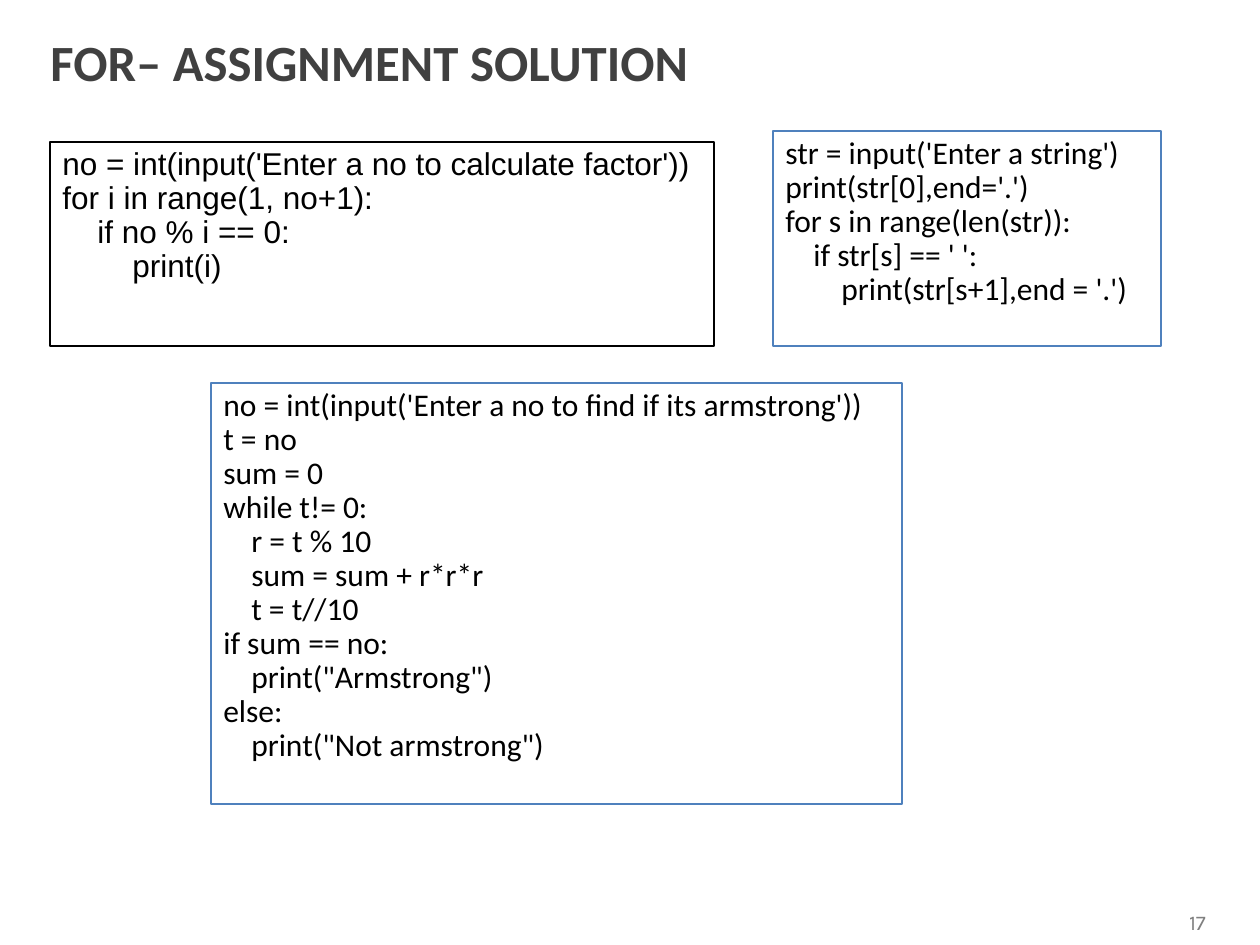
import pptx
import pptx.dml.color
import pptx.enum.shapes
import pptx.enum.text
import pptx.util

PX = pptx.util.Inches(1) / 126
ALIGN = pptx.enum.text.PP_ALIGN
ANCHOR = pptx.enum.text.MSO_ANCHOR

THEME = {
    "ink": "000000", "heading": "404040", "muted": "808080", "border": "4F81BD",
    "title_size": 29, "code_size": 18, "number_size": 12,
    "body_font": "Calibri", "plain_font": "Arial", "number_font": "Karla",
    "border_width": 0.75, "line_spacing": 0.9,
}

# Each line of code is (indent level, text)
FACTORS = [
    (0, "no = int(input('Enter a no to calculate factor'))"),
    (0, "for i in range(1, no+1):"),
    (1, "if no % i == 0:"),
    (2, "print(i)"),
]
INITIALS = [
    (0, "str = input('Enter a string')"),
    (0, "print(str[0],end='.')"),
    (0, "for s in range(len(str)):"),
    (1, "if str[s] == ' ':"),
    (2, "print(str[s+1],end = '.')"),
]
ARMSTRONG = [
    (0, "no = int(input('Enter a no to find if its armstrong'))"),
    (0, "t = no"),
    (0, "sum = 0"),
    (0, "while t!= 0:"),
    (1, "r = t % 10"),
    (1, "sum = sum + r*r*r"),
    (1, "t = t//10"),
    (0, "if sum == no:"),
    (1, 'print("Armstrong")'),
    (0, "else:"),
    (1, 'print("Not armstrong")'),
]


def px(length):
    return pptx.util.Emu(round(length * PX))


def rgb(name):
    return pptx.dml.color.RGBColor.from_string(THEME[name])


def set_all(target, values):
    for attribute, value in values.items():
        setattr(target, attribute, value)


def write(paragraph, text, font, size, color, bold=False):
    run = paragraph.add_run()
    run.text = text
    set_all(run.font, {"name": THEME[font], "size": pptx.util.Pt(THEME[size]),
                       "bold": bold})
    run.font.color.rgb = rgb(color)


def add_label(slide, box, text, align, **style):
    """One line of text, centred vertically in its box."""
    frame = slide.shapes.add_textbox(*map(px, box)).text_frame
    set_all(frame, {"word_wrap": True, "vertical_anchor": ANCHOR.MIDDLE})
    frame.paragraphs[0].alignment = align
    write(frame.paragraphs[0], text, **style)


def add_code(slide, box, lines, font, border, indent):
    """A bordered panel of code, one paragraph per line."""
    panel = slide.shapes.add_shape(
        pptx.enum.shapes.MSO_SHAPE.RECTANGLE, *map(px, box))
    panel.shadow.inherit = False
    panel.fill.background()
    panel.line.color.rgb = rgb(border)
    panel.line.width = pptx.util.Pt(THEME["border_width"])

    frame = panel.text_frame
    set_all(frame, {"word_wrap": True, "vertical_anchor": ANCHOR.TOP})
    for number, (level, text) in enumerate(lines):
        paragraph = frame.add_paragraph() if number else frame.paragraphs[0]
        set_all(paragraph, {"alignment": ALIGN.LEFT,
                            "line_spacing": THEME["line_spacing"]})
        if level:
            # The left margin carries the code indent
            margins = paragraph._p.get_or_add_pPr()
            margins.set("marL", str(px(level * indent)))
            margins.set("indent", "0")
        write(paragraph, text, font, "code_size", "ink")


def build_solution_slide(deck):
    slide = deck.slides.add_slide(deck.slide_layouts[6])

    # Page number
    add_label(slide, (1166, 903, 63, 38), "17", ALIGN.CENTER,
              font="number_font", size="number_size", color="muted")

    # Title
    add_label(slide, (38, 22, 1179, 79), "FOR– ASSIGNMENT SOLUTION", ALIGN.LEFT,
              font="body_font", size="title_size", color="heading", bold=True)

    # Solutions
    add_code(slide, (50, 142, 664, 204), FACTORS, "plain_font", "ink", 35)
    add_code(slide, (773, 131, 388, 215), INITIALS, "body_font", "border", 28)
    add_code(slide, (211, 383, 691, 421), ARMSTRONG, "body_font", "border", 28)


def main():
    deck = pptx.Presentation()
    set_all(deck, {"slide_width": px(1260), "slide_height": px(945)})
    build_solution_slide(deck)
    deck.save("out.pptx")


if __name__ == "__main__":
    main()
